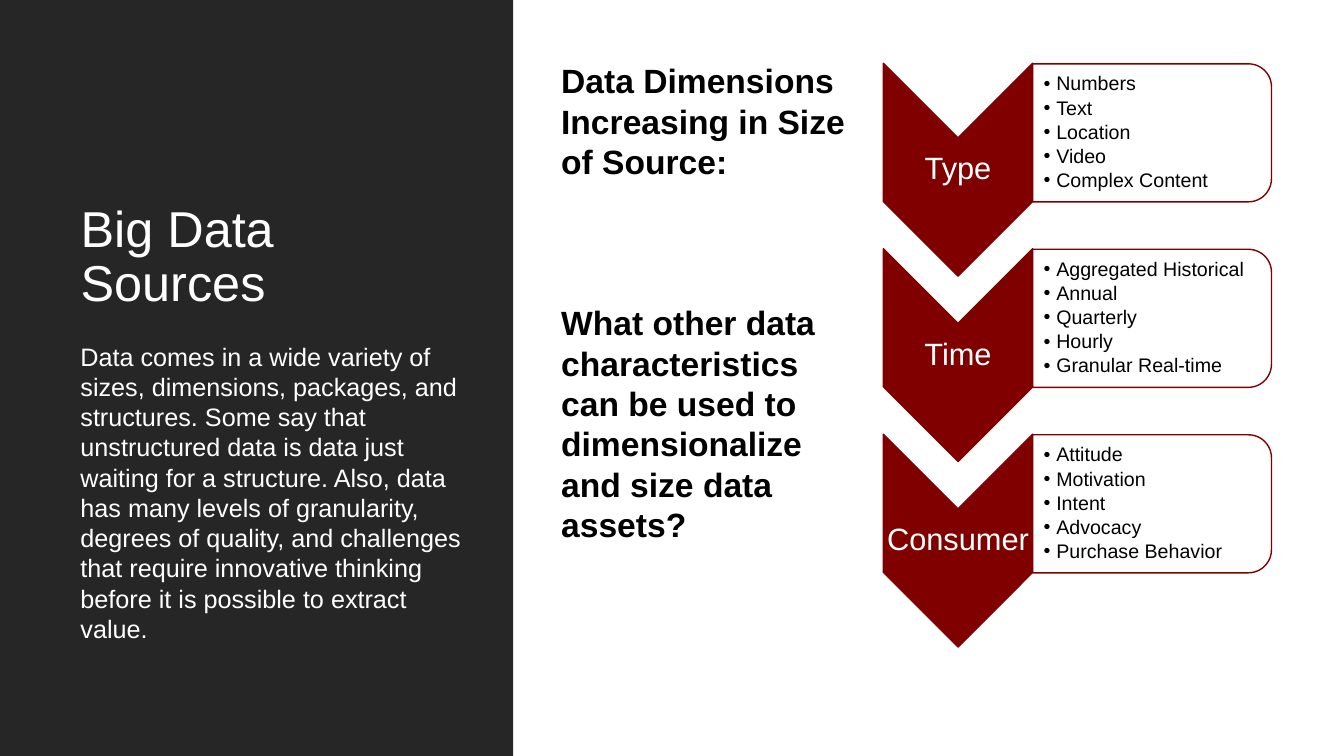
from dataclasses import dataclass

from lxml import etree
from pptx import Presentation
from pptx.dml.color import RGBColor
from pptx.enum import shapes, text
from pptx.oxml.ns import qn
from pptx.util import Pt


@dataclass(frozen=True)
class Theme:
    font: str = "Arial"
    dark: RGBColor = RGBColor(0x26, 0x26, 0x26)
    accent: RGBColor = RGBColor(0x80, 0x00, 0x00)
    white: RGBColor = RGBColor(0xFF, 0xFF, 0xFF)
    black: RGBColor = RGBColor(0x00, 0x00, 0x00)
    title_size: int = 36
    heading_size: int = 24
    label_size: int = 22
    body_size: int = 18
    bullet_size: int = 14


class SlideBuilder:
    """Holds the theme and the current slide; all lengths are in points."""

    def __init__(self, slide, theme):
        self.slide = slide
        self.theme = theme

    def shape(self, kind, left, top, width, height, fill, line=None, rotation=0):
        shape = self.slide.shapes.add_shape(
            kind, Pt(left), Pt(top), Pt(width), Pt(height))
        shape.rotation = rotation
        shape.shadow.inherit = False
        shape.fill.solid()
        shape.fill.fore_color.rgb = fill
        if line is None:
            shape.line.fill.background()
        else:
            shape.line.color.rgb = line
            shape.line.width = Pt(1)
        return shape

    def turned_shape(self, kind, left, top, width, height, fill):
        """Add a shape turned by 90 degrees that covers the given area."""
        shift = (width - height) / 2
        return self.shape(kind, left + shift, top - shift, height, width,
                          fill, self.theme.accent, rotation=90)

    def fill_text(self, shape, lines, size, color, bold=False, align=text.PP_ALIGN.LEFT,
                  anchor=text.MSO_ANCHOR.TOP, spacing=1.0, gap_before=0,
                  gap_after=0, bulleted=False, insets=None):
        frame = shape.text_frame
        frame.word_wrap = True
        frame.auto_size = text.MSO_AUTO_SIZE.NONE
        frame.vertical_anchor = anchor
        if insets:
            (frame.margin_left, frame.margin_top,
             frame.margin_right, frame.margin_bottom) = map(Pt, insets)
        for index, line in enumerate(lines):
            paragraph = frame.paragraphs[0] if index == 0 else frame.add_paragraph()
            paragraph.text = line
            paragraph.alignment = align
            paragraph.line_spacing = spacing
            paragraph.space_before = Pt(gap_before if index else 0)
            paragraph.space_after = Pt(gap_after)
            if bulleted:
                self.add_bullet(paragraph)
            font = paragraph.font
            font.name = self.theme.font
            font.size = Pt(size)
            font.bold = bold
            font.color.rgb = color

    def text_box(self, left, top, width, height, lines, size, color, **options):
        box = self.slide.shapes.add_textbox(Pt(left), Pt(top), Pt(width), Pt(height))
        self.fill_text(box, lines, size, color, **options)

    def title(self, left, top, width, height, wording):
        title = self.slide.shapes.title
        title.left, title.top, title.width, title.height = map(
            Pt, (left, top, width, height))
        self.fill_text(title, [wording], self.theme.title_size, self.theme.white,
                       anchor=text.MSO_ANCHOR.BOTTOM, spacing=0.9)

    def panel(self, width, height):
        panel = self.shape(shapes.MSO_SHAPE.RECTANGLE, 0, 0, width, height,
                           self.theme.dark)
        # Send the panel behind the title
        self.slide.shapes.element.insert(2, panel.element)

    def chevron(self, left, top, width, height, label):
        theme = self.theme
        self.turned_shape(shapes.MSO_SHAPE.CHEVRON, left, top, width, height,
                          theme.accent)
        # The label sits between the notch and the start of the tip
        notch = width / 2
        self.text_box(left, top + notch, width, height - 2 * notch, [label],
                      theme.label_size, theme.white, spacing=0.9,
                      align=text.PP_ALIGN.CENTER, anchor=text.MSO_ANCHOR.MIDDLE,
                      insets=(1.4, 1.4, 1.4, 1.4))

    def card(self, left, top, width, height, items):
        theme = self.theme
        card = self.turned_shape(shapes.MSO_SHAPE.ROUND_2_SAME_RECTANGLE,
                                 left, top, width, height, theme.white)
        color = card.fill._xPr.find(f"{qn('a:solidFill')}/{qn('a:srgbClr')}")
        etree.SubElement(color, qn("a:alpha"), val="90000")
        self.text_box(left, top + 5, width - 5, height - 10, items,
                      theme.bullet_size, theme.black, spacing=0.9, gap_after=2.1,
                      anchor=text.MSO_ANCHOR.MIDDLE, bulleted=True,
                      insets=(7.9, 0.7, 0.7, 0.7))

    @staticmethod
    def add_bullet(paragraph):
        properties = paragraph._p.get_or_add_pPr()
        properties.set("marL", str(Pt(9)))
        properties.set("indent", str(-Pt(9)))
        etree.SubElement(properties, qn("a:buFont"), typeface="Arial")
        etree.SubElement(properties, qn("a:buChar"), char="•")


DIMENSIONS = [
    ("Type", ["Numbers", "Text", "Location", "Video", "Complex Content"]),
    ("Time", ["Aggregated Historical", "Annual", "Quarterly", "Hourly",
              "Granular Real-time"]),
    ("Consumer", ["Attitude", "Motivation", "Intent", "Advocacy",
                  "Purchase Behavior"]),
]


def main():
    presentation = Presentation()
    presentation.slide_width = Pt(960)
    presentation.slide_height = Pt(540)
    slide = presentation.slides.add_slide(presentation.slide_layouts[5])
    theme = Theme()
    builder = SlideBuilder(slide, theme)

    # Dark panel with title and introduction
    builder.panel(366.5, 540)
    builder.title(50.4, 62, 277, 165, "Big Data Sources")
    builder.text_box(
        50.4, 240, 294, 241,
        ["Data comes in a wide variety of sizes, dimensions, packages, and "
         "structures. Some say that unstructured data is data just waiting for a "
         "structure. Also, data has many levels of granularity, degrees of quality, "
         "and challenges that require innovative thinking before it is possible to "
         "extract value."],
        theme.body_size, theme.white)

    # Chevrons with their cards
    for row, (label, items) in enumerate(DIMENSIONS):
        top = 45.2 + row * 132.5
        builder.chevron(631, top, 106.6, 152, label)
        builder.card(737.6, top + 0.4, 170.6, 98.6, items)

    # Heading and question
    builder.text_box(
        393.8, 39.6, 220.3, 327,
        ["Data Dimensions Increasing in Size of Source:",
         "What other data characteristics can be used to dimensionalize and size "
         "data assets?"],
        theme.heading_size, theme.black, bold=True, gap_before=86.4)

    presentation.save("out.pptx")


if __name__ == "__main__":
    main()
